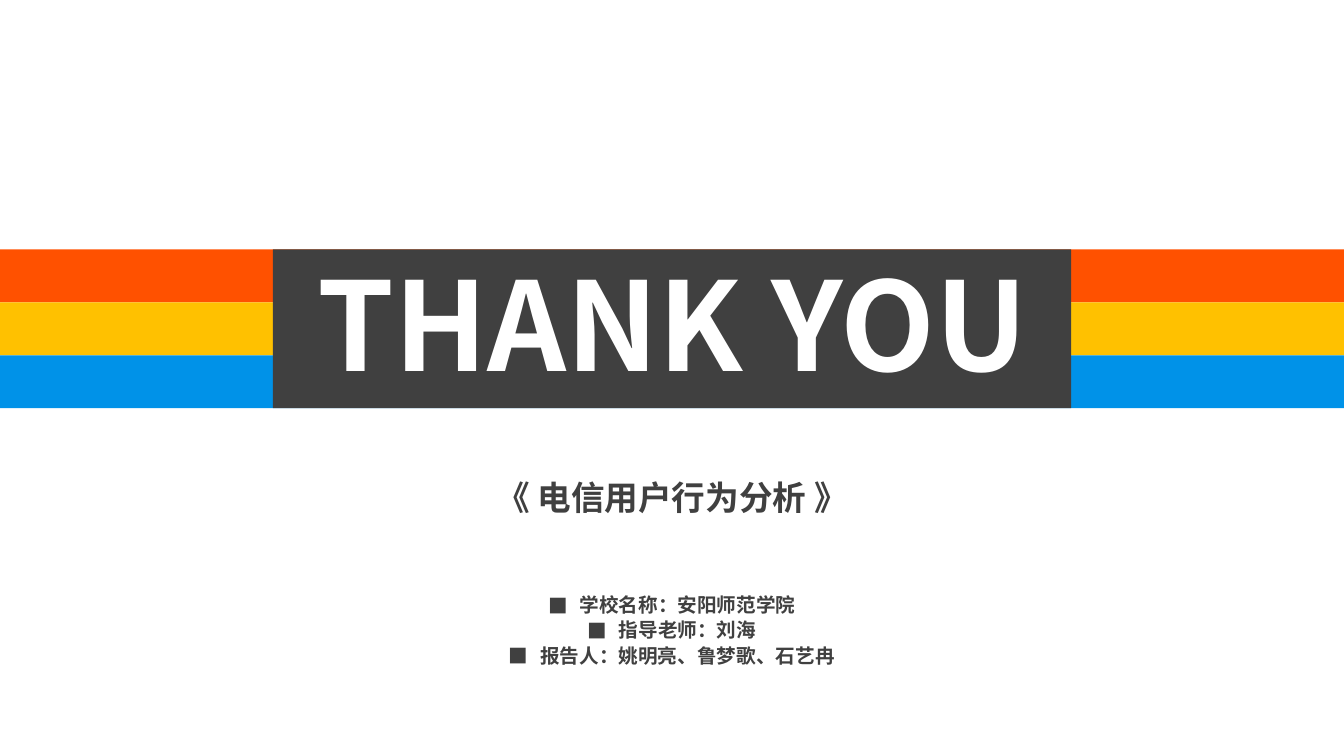
from lxml import etree
from pptx import Presentation
from pptx.dml.color import RGBColor
from pptx.enum.shapes import MSO_SHAPE
from pptx.enum.text import MSO_ANCHOR, MSO_AUTO_SIZE, PP_ALIGN
from pptx.oxml.ns import qn
from pptx.util import Inches, Pt

RECT = MSO_SHAPE.RECTANGLE
TOP, MIDDLE = MSO_ANCHOR.TOP, MSO_ANCHOR.MIDDLE
NO_FIT = MSO_AUTO_SIZE.NONE
CENTER = PP_ALIGN.CENTER

ORANGE = RGBColor(0xFF, 0x51, 0x00)
YELLOW = RGBColor(0xFF, 0xC1, 0x00)
BLUE = RGBColor(0x00, 0x92, 0xE8)
DARK = RGBColor(0x40, 0x40, 0x40)
WHITE = RGBColor(0xFF, 0xFF, 0xFF)

BAND_TOP, BAND_HEIGHT = 33, 21
STRIPES = [ORANGE, YELLOW, BLUE]
DETAILS = ["学校名称：安阳师范学院", "指导老师：刘海", "报告人：姚明亮、鲁梦歌、石艺冉"]


class ClosingSlide:
    """Places elements on a grid of 100 columns by 100 rows."""

    font = "Noto Sans CJK SC"

    def __init__(self, prs):
        self.col, self.row = prs.slide_width / 100, prs.slide_height / 100
        self.s = prs.slides.add_slide(prs.slide_layouts[1])

    def box(self, x, y, w, h):
        return [int(x * self.col), int(y * self.row), int(w * self.col), int(h * self.row)]

    def set_text(self, sp, text, size, color, anchor=MIDDLE, wrap=False, spacing=1.0):
        tf = sp.text_frame
        tf.text = text
        tf.auto_size, tf.word_wrap, tf.vertical_anchor = NO_FIT, wrap, anchor
        for p in tf.paragraphs:
            p.alignment, p.line_spacing, p.space_before = CENTER, spacing, Pt(0)
            for r in p.runs:
                r.font.size, r.font.bold, r.font.name = Pt(size), True, self.font
                r.font.color.rgb = color
                ea = etree.SubElement(r._r.get_or_add_rPr(), qn("a:ea"))
                ea.set("typeface", self.font)

    def stripe(self, color, y, h):
        sp = self.s.shapes.add_shape(RECT, *self.box(0, y, 100, h))
        sp.shadow.inherit = False
        sp.fill.solid()
        sp.fill.fore_color.rgb = color
        sp.line.fill.background()

    def place(self, sp, box):
        """Move a placeholder to the box and in front of what is drawn so far."""
        sp.left, sp.top, sp.width, sp.height = self.box(*box)
        self.s.shapes._spTree.append(sp._element)

    def title(self, text, box):
        sp = self.s.shapes.title
        self.place(sp, box)
        sp.fill.solid()
        sp.fill.fore_color.rgb = DARK
        self.set_text(sp, text, 88, WHITE, spacing=0.95)

    def subtitle(self, text, box):
        self.set_text(self.s.shapes.add_textbox(*self.box(*box)), text, 24, DARK)

    def bullets(self, items, box):
        sp = self.s.placeholders[1]
        self.place(sp, box)
        self.set_text(sp, "\n".join(items), 14, DARK, TOP, True, 1.08)
        for p in sp.text_frame.paragraphs:
            pPr = p._p.get_or_add_pPr()
            pPr.set("marL", str(Inches(0.31)))
            pPr.set("indent", str(Inches(-0.31)))
            etree.SubElement(pPr, qn("a:buFont")).set("typeface", self.font)
            etree.SubElement(pPr, qn("a:buChar")).set("char", "■")


def main():
    prs = Presentation()
    prs.slide_width, prs.slide_height = Inches(13.33), Inches(7.5)
    slide = ClosingSlide(prs)
    height = BAND_HEIGHT / len(STRIPES)
    for i, color in enumerate(STRIPES):
        slide.stripe(color, BAND_TOP + i * height, height)
    slide.title("THANK YOU", (20.3, BAND_TOP, 59.4, BAND_HEIGHT))
    slide.subtitle("《 电信用户行为分析 》", (35.85, 62.4, 28.3, 6.7))
    slide.bullets(DETAILS, (28.5, 77.5, 43, 13.6))
    prs.save("out.pptx")


if __name__ == "__main__":
    main()
